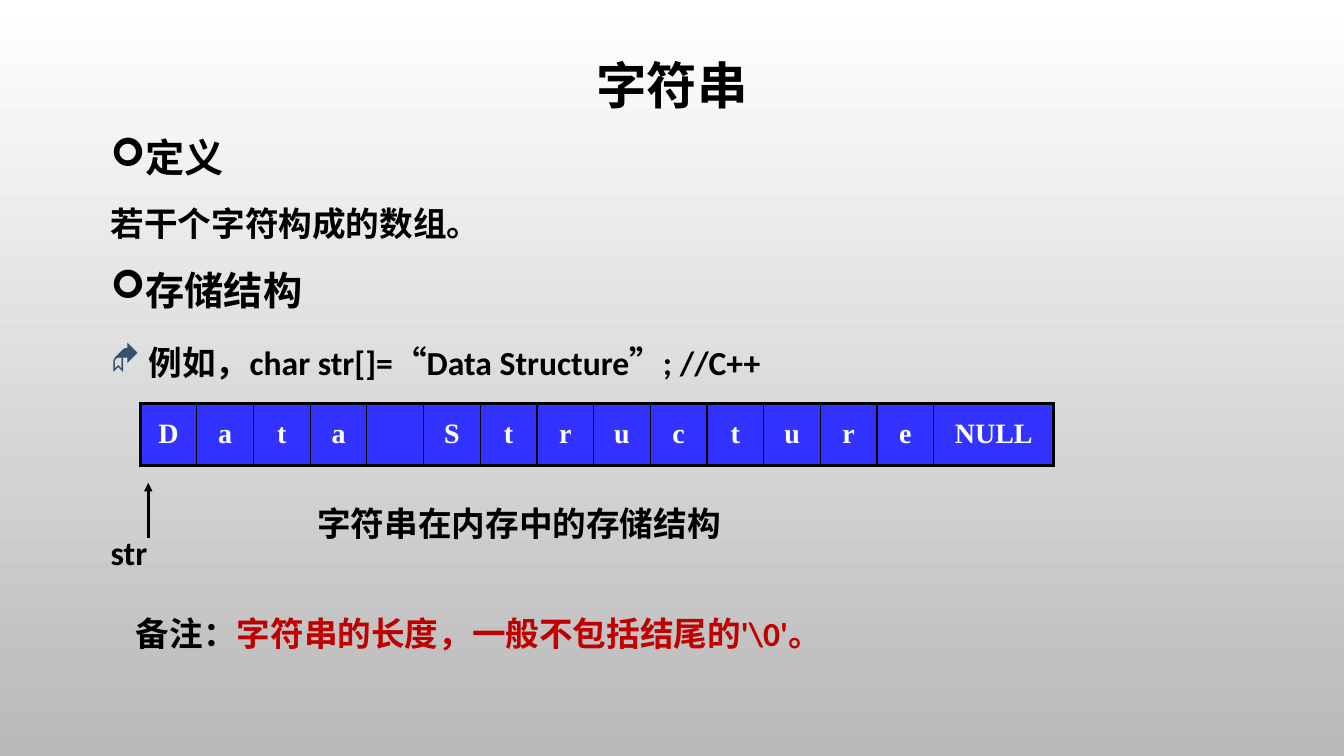
from lxml.etree import SubElement
from pptx import Presentation
from pptx.dml.color import RGBColor
from pptx.enum.shapes import MSO_CONNECTOR
from pptx.enum.text import MSO_ANCHOR, PP_ALIGN
from pptx.oxml.ns import qn
from pptx.util import Inches, Pt

BLACK = RGBColor(0x00, 0x00, 0x00)
WHITE = RGBColor(0xFF, 0xFF, 0xFF)
GRAY = RGBColor(0xB9, 0xB9, 0xB9)
BLUE = RGBColor(0x33, 0x33, 0xFF)
STEEL = RGBColor(0x35, 0x50, 0x71)
RED = RGBColor(0xC0, 0x00, 0x00)

WIDE, HIGH = Inches(13.33), Inches(7.5)
LEFT = 7.5
CHARS = [*"Data Structure", "NULL"]
CELL, LAST = 4.22, 8.93
THIN, THICK = Pt(1), Pt(2.25)


def across(share):
    """Percent of the slide width."""
    return round(WIDE * share / 100)


def down(share):
    """Percent of the slide height."""
    return round(HIGH * share / 100)


def write(para, text, size=24, font="Calibri", color=BLACK, align=None,
          line=None, before=0, mark=None, tint=BLACK, hang=0):
    """Add a bold run; mark is the bullet sign and tint its colour."""
    run = para.add_run()
    run.text = text
    run.font.size, run.font.name, run.font.bold = Pt(size), font, True
    run.font.color.rgb = color
    if align is not None:
        para.alignment = align
    if line:
        para.line_spacing = line
    if before:
        para.space_before = Pt(before)
    if mark:
        props = para._p.get_or_add_pPr()
        props.set("marL", str(Inches(hang)))
        props.set("indent", str(-Inches(hang)))
        shade = SubElement(props, qn("a:buClr"))
        SubElement(shade, qn("a:srgbClr"), val=str(tint))
        SubElement(props, qn("a:buFont"), typeface="Wingdings")
        SubElement(props, qn("a:buChar"), char=mark)


def add_box(slide, x, y, w, h, anchor=MSO_ANCHOR.TOP):
    """Add a text box, placed in percent, and return its frame."""
    box = slide.shapes.add_textbox(across(x), down(y), across(w), down(h))
    frame = box.text_frame
    frame.word_wrap = True
    frame.vertical_anchor = anchor
    return frame


def add_label(slide, x, y, w, h, text, **form):
    frame = add_box(slide, x, y, w, h)
    write(frame.paragraphs[0], text, **form)
    return frame


def add_edge(cell, place, side, width):
    props = cell._tc.get_or_add_tcPr()
    edge = SubElement(props, qn("a:ln" + side), w=str(width))
    fill = SubElement(edge, qn("a:solidFill"))
    SubElement(fill, qn("a:srgbClr"), val=str(BLACK))
    props.insert(place, edge)


def add_cells(slide, x, y, h):
    """Add the row of characters held in memory."""
    end = len(CHARS) - 1
    frame = slide.shapes.add_table(1, len(CHARS), across(x), down(y),
                                   across(CELL * end + LAST), down(h))
    table = frame.table
    table.first_row = table.horz_banding = False
    for i, char in enumerate(CHARS):
        table.columns[i].width = across(LAST if i == end else CELL)
        cell = table.cell(0, i)
        cell.fill.solid()
        cell.fill.fore_color.rgb = BLUE
        cell.vertical_anchor = MSO_ANCHOR.MIDDLE
        write(cell.text_frame.paragraphs[0], char.strip(), size=20,
              font="Times New Roman", color=WHITE, align=PP_ALIGN.CENTER)
        edges = {"L": THIN if i else THICK, "R": THICK if i == end else THIN,
                 "T": THICK, "B": THICK}
        for place, (side, width) in enumerate(edges.items()):
            add_edge(cell, place, side, width)


def add_arrow(slide, x, start, stop):
    line = slide.shapes.add_connector(MSO_CONNECTOR.STRAIGHT, across(x),
                                      down(start), across(x), down(stop))
    line.line.color.rgb = BLACK
    line.line.width = Pt(2)
    SubElement(line.line._get_or_add_ln(), qn("a:tailEnd"), type="triangle")
    SubElement(line._element.spPr, qn("a:effectLst"))


def shade_back(slide):
    fill = slide.background.fill
    fill.gradient()
    fill.gradient_angle = 270
    for stop, color, place in zip(fill.gradient_stops, (WHITE, GRAY), (0, 1)):
        stop.color.rgb = color
        stop.position = place


def add_body(slide):
    frame = add_box(slide, LEFT, 15.73, 85, 80.8)
    head = {"size": 28, "mark": "➢", "hang": 0.25}
    lines = [("定义", head), ("若干个字符构成的数组。", {}), ("存储结构", head)]
    for i, (text, form) in enumerate(lines):
        para = frame.add_paragraph() if i else frame.paragraphs[0]
        write(para, text, font="Times New Roman", line=1.2, before=10, **form)


def main():
    deck = Presentation()
    deck.slide_width, deck.slide_height = WIDE, HIGH
    slide = deck.slides.add_slide(deck.slide_layouts[6])
    shade_back(slide)
    title = add_box(slide, LEFT, 0, 85, 23.33, anchor=MSO_ANCHOR.MIDDLE)
    write(title.paragraphs[0], "字符串", size=36, align=PP_ALIGN.CENTER,
          line=0.9)
    add_body(slide)
    add_label(slide, LEFT, 43.47, 73, 7.33,
              " 例如，char str[]=“Data Structure”; //C++",
              line=1.2, mark="◆", tint=STEEL)
    add_cells(slide, 10.43, 53.33, 8.27)
    add_arrow(slide, 11.03, 71.2, 63.87)
    add_label(slide, LEFT, 69.73, 8.85, 6.67, "str")
    add_label(slide, 22.88, 65.87, 39.6, 6.67, "字符串在内存中的存储结构")
    note = add_label(slide, 9.38, 80.4, 71.1, 6.67, "备注：")
    write(note.paragraphs[0], "字符串的长度，一般不包括结尾的'\\0'。", color=RED)
    deck.save("out.pptx")


if __name__ == "__main__":
    main()
